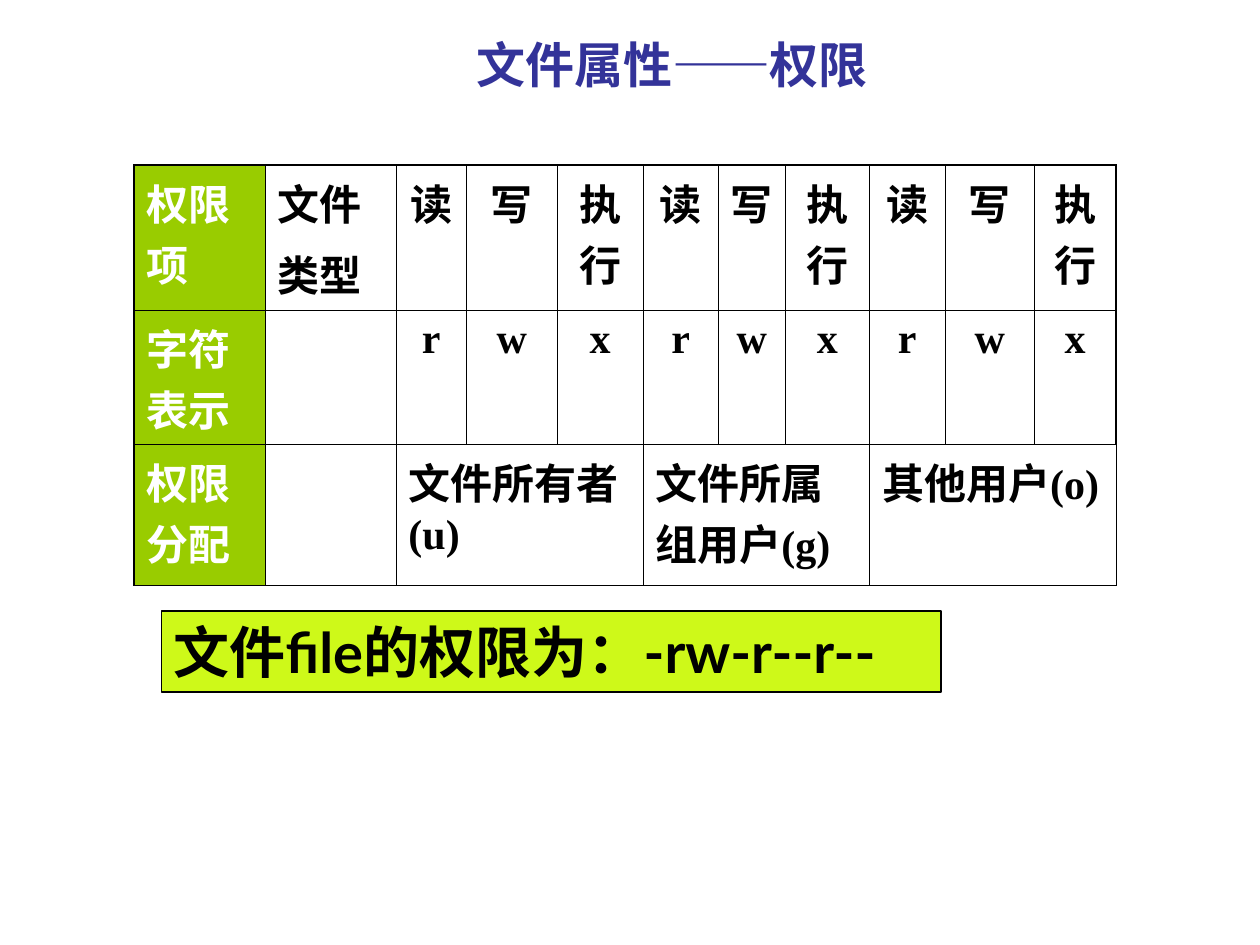
from dataclasses import dataclass
from typing import Optional

from lxml import etree
from pptx import Presentation
from pptx import util as u
from pptx.dml.color import RGBColor
from pptx.enum import shapes, text
from pptx.oxml.ns import qn

SERIF = "Times New Roman"
BLACK, WHITE, GREEN = "000000", "FFFFFF", "99CC00"
THIN, THICK = 0.45, 1.08
COLUMN_WIDTHS = [2.64, 2.64, 1.42, 1.83, 1.73, 1.52, 1.35, 1.7, 1.52, 1.8, 1.65]
ROW_HEIGHTS = [2.64, 2.62, 2.84]
LAST_COLUMN, LAST_ROW = len(COLUMN_WIDTHS) - 1, len(ROW_HEIGHTS) - 1


@dataclass
class Entry:
    row: int
    column: int
    wording: str
    color: str = BLACK
    align: text.PP_ALIGN = text.PP_ALIGN.LEFT
    span: int = 1


def rgb(value: str) -> RGBColor:
    return RGBColor.from_string(value)


def write(frame, wording: str, size: float = 24, font: str = SERIF, color: str = BLACK,
          align: Optional[text.PP_ALIGN] = text.PP_ALIGN.LEFT, gap: float = 0) -> None:
    for index, line in enumerate(wording.split("\n")):
        paragraph = frame.paragraphs[0] if index == 0 else frame.add_paragraph()
        paragraph.alignment = align
        if index:
            paragraph.space_before = u.Pt(gap)
        run = paragraph.add_run()
        run.text = line
        run.font.size = u.Pt(size)
        run.font.name = font
        run.font.bold = True
        run.font.color.rgb = rgb(color)


def draw_borders(cell, row: int, column: int) -> None:
    edges = {
        "a:lnL": column == 0,
        "a:lnR": column == LAST_COLUMN,
        "a:lnT": row == 0,
        "a:lnB": row == LAST_ROW,
    }
    properties = cell._tc.get_or_add_tcPr()
    for position, (tag, outer) in enumerate(edges.items()):
        border = etree.Element(qn(tag), w=str(u.Pt(THICK if outer else THIN)))
        fill = etree.SubElement(border, qn("a:solidFill"))
        etree.SubElement(fill, qn("a:srgbClr"), val=BLACK)
        properties.insert(position, border)


def permission_entries() -> list[Entry]:
    center = text.PP_ALIGN.CENTER
    headings = ["权限项", "字符表示", "权限分配"]
    entries = [Entry(row, 0, heading, WHITE) for row, heading in enumerate(headings)]
    entries.append(Entry(0, 1, "文件\n类型"))
    for group, owner in enumerate(["文件所有者(u)", "文件所属组用户(g)", "其他用户(o)"]):
        start = 2 + 3 * group
        for offset, (action, letter) in enumerate([("读", "r"), ("写", "w"), ("执行", "x")]):
            entries.append(Entry(0, start + offset, action, align=center))
            entries.append(Entry(1, start + offset, letter, align=center))
        entries.append(Entry(2, start, owner, span=3))
    return entries


def add_permissions(slide) -> None:
    table = slide.shapes.add_table(
        len(ROW_HEIGHTS), len(COLUMN_WIDTHS), u.Cm(2.7), u.Cm(3.33),
        u.Cm(sum(COLUMN_WIDTHS)), u.Cm(sum(ROW_HEIGHTS))).table
    table.first_row = table.horz_banding = False
    for column, width in zip(table.columns, COLUMN_WIDTHS):
        column.width = u.Cm(width)
    for row, height in zip(table.rows, ROW_HEIGHTS):
        row.height = u.Cm(height)
    for row in range(len(ROW_HEIGHTS)):
        for column in range(len(COLUMN_WIDTHS)):
            cell = table.cell(row, column)
            cell.fill.solid()
            cell.fill.fore_color.rgb = rgb(WHITE if column else GREEN)
            draw_borders(cell, row, column)
    for entry in permission_entries():
        cell = table.cell(entry.row, entry.column)
        if entry.span > 1:
            cell.merge(table.cell(entry.row, entry.column + entry.span - 1))
        write(cell.text_frame, entry.wording, color=entry.color, align=entry.align, gap=6)


def add_example(slide) -> None:
    example = slide.shapes.add_shape(
        shapes.MSO_SHAPE.RECTANGLE, u.Cm(3.25), u.Cm(12.32), u.Cm(15.72), u.Cm(1.63))
    example.shadow.inherit = False
    example.fill.solid()
    example.fill.fore_color.rgb = rgb("CEF919")
    example.line.color.rgb = rgb(BLACK)
    example.line.width = u.Pt(0.75)
    frame = example.text_frame
    frame.word_wrap = False
    frame.auto_size = text.MSO_AUTO_SIZE.SHAPE_TO_FIT_TEXT
    frame.vertical_anchor = text.MSO_ANCHOR.TOP
    write(frame, "文件file的权限为：-rw-r--r--", size=32, font="Lato")


def add_title(slide) -> None:
    title = slide.shapes.title
    title.left, title.top = u.Cm(1.7), u.Cm(0.53)
    title.width, title.height = u.Cm(23.7), u.Cm(1.52)
    title.text_frame.auto_size = text.MSO_AUTO_SIZE.NONE
    title.text_frame.vertical_anchor = text.MSO_ANCHOR.MIDDLE
    write(title.text_frame, "文件属性——权限", size=28, color="333399",
          align=text.PP_ALIGN.CENTER)


def main() -> None:
    deck = Presentation()
    deck.slide_width, deck.slide_height = u.Cm(25.4), u.Cm(19.05)
    slide = deck.slides.add_slide(deck.slide_layouts[5])
    add_title(slide)
    add_permissions(slide)
    add_example(slide)
    deck.save("out.pptx")


if __name__ == "__main__":
    main()
